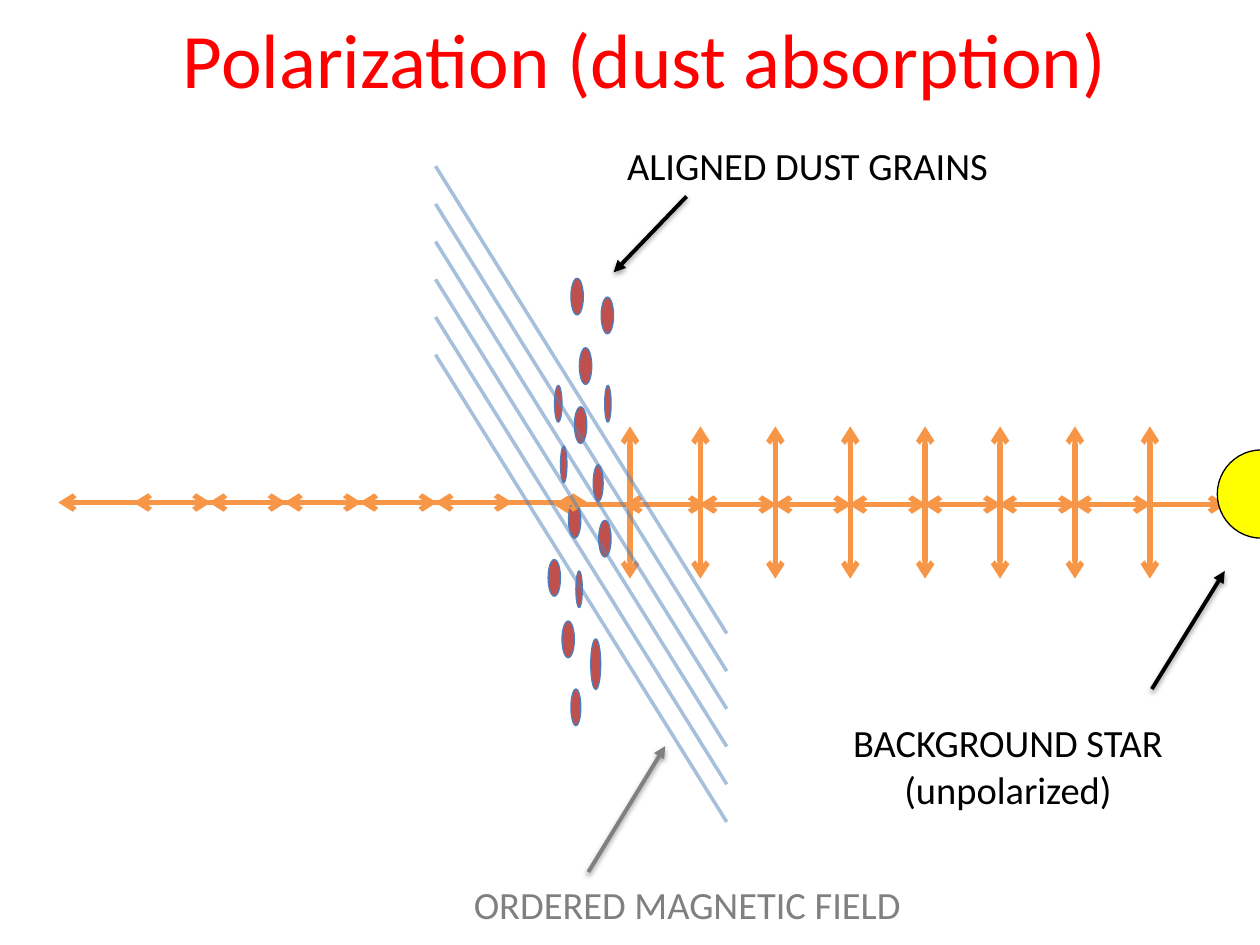
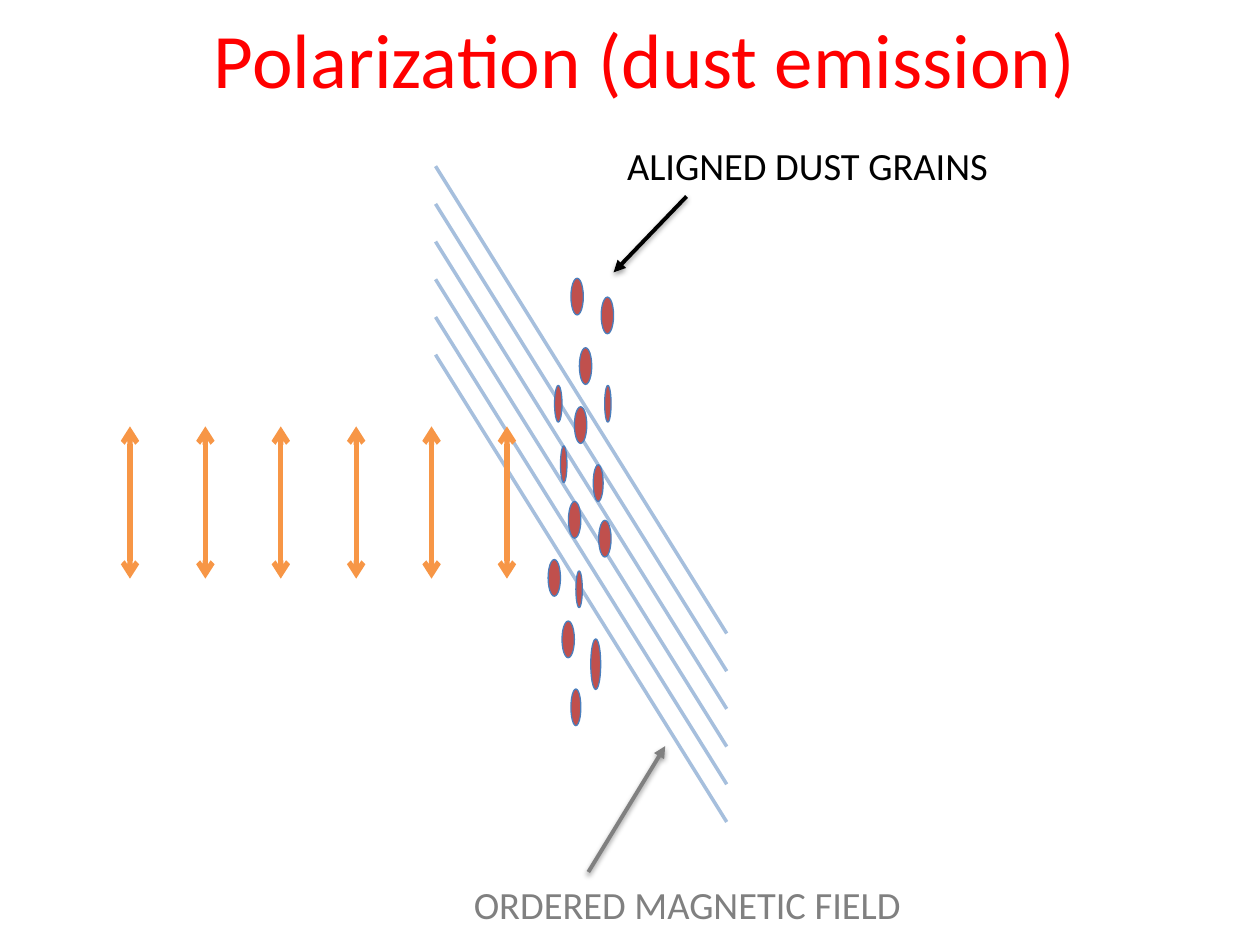
from lxml.etree import SubElement
from pptx import Presentation
from pptx.dml.color import RGBColor
from pptx.enum.shapes import MSO_CONNECTOR as Connector, MSO_SHAPE as Shape
from pptx.enum.text import MSO_ANCHOR as Anchor, MSO_AUTO_SIZE as AutoSize, PP_ALIGN as Align
from pptx.oxml.ns import qn
from pptx.util import Cm, Pt

RED = RGBColor(0xFF, 0x00, 0x00)
BLACK = RGBColor(0x00, 0x00, 0x00)
GRAY = RGBColor(0x80, 0x80, 0x80)
ORANGE = RGBColor(0xF7, 0x96, 0x46)
BLUE = RGBColor(0x4F, 0x81, 0xBD)
GRAIN_FILL = RGBColor(0xC0, 0x50, 0x4D)
GRAIN_EDGE = RGBColor(0x4B, 0x7E, 0xBC)
YELLOW = RGBColor(0xFF, 0xFF, 0x00)
FONT = "Calibri"

# All lengths below are centimetres
WAVE_LENGTH = 3.07
WAVE_STEP = 1.52
BEAM_Y = 10.13
GRAIN_HEIGHT = 0.74

# Left, top, width and, where it differs, height of each dust grain
GRAINS = [
    (11.18, 7.77, 0.15), (11.58, 8.2, 0.25), (11.96, 9.37, 0.2),
    (12.19, 7.77, 0.13), (11.3, 8.99, 0.13), (11.46, 10.11, 0.25),
    (12.07, 10.49, 0.25), (11.05, 11.28, 0.25), (11.61, 11.51, 0.13),
    (11.33, 12.52, 0.25), (11.91, 12.88, 0.2, 1.02), (11.51, 13.89, 0.2),
    (11.51, 5.61, 0.25), (12.12, 5.99, 0.25), (11.68, 7.01, 0.25),
]


def write(frame, text, *, size=22, color=BLACK, align=Align.CENTER):
    """Fill a text frame, one paragraph for each line of text."""
    for index, line in enumerate(text.split("\n")):
        para = frame.add_paragraph() if index else frame.paragraphs[0]
        para.alignment = align
        span = para.add_run()
        span.text = line
        span.font.name = FONT
        span.font.size = Pt(size)
        span.font.color.rgb = color


class Drawing:
    """The deck, its current page and the style of each element."""

    def __init__(self):
        self.deck = Presentation()
        self.deck.slide_width = Cm(25.4)
        self.deck.slide_height = Cm(19.05)
        self.page = None

    def new_page(self, title):
        self.page = self.deck.slides.add_slide(self.deck.slide_layouts[5])
        box = self.page.shapes.title
        box.left, box.top, box.width, box.height = map(Cm, (1.57, -0.43, 22.86, 3.18))
        box.text_frame.vertical_anchor = Anchor.MIDDLE
        write(box.text_frame, title, size=44, color=RED)

    def label(self, left, top, width, height, text, color=BLACK):
        box = self.page.shapes.add_textbox(*map(Cm, (left, top, width, height)))
        box.text_frame.word_wrap = True
        box.text_frame.auto_size = AutoSize.SHAPE_TO_FIT_TEXT
        write(box.text_frame, text, color=color)

    def ellipse(self, left, top, width, height, fill, edge):
        oval = self.page.shapes.add_shape(Shape.OVAL, *map(Cm, (left, top, width, height)))
        oval.shadow.inherit = False
        oval.fill.solid()
        oval.fill.fore_color.rgb = fill
        oval.line.color.rgb = edge
        oval.line.width = Pt(0.75)

    def line(self, start, end, color, weight, *, head=None, tail=None, opacity=None, shadow=False):
        line = self.page.shapes.add_connector(Connector.STRAIGHT, *map(Cm, (*start, *end)))
        line.line.color.rgb = color
        line.line.width = Pt(weight)
        properties = line._element.spPr
        outline = properties.find(qn("a:ln"))
        if opacity:
            paint = outline.find(".//" + qn("a:srgbClr"))
            SubElement(paint, qn("a:alpha"), val=str(opacity * 1000))
        for tag, kind in (("a:headEnd", head), ("a:tailEnd", tail)):
            if kind:
                SubElement(outline, qn(tag), type=kind)
        effects = SubElement(properties, qn("a:effectLst"))
        if shadow:
            cast = SubElement(effects, qn("a:outerShdw"), blurRad=str(Pt(3.1)),
                              dist=str(Pt(1.6)), dir="5400000", rotWithShape="0")
            paint = SubElement(cast, qn("a:srgbClr"), val=str(BLACK))
            SubElement(paint, qn("a:alpha"), val="38000")

    def pointer(self, tip, end, color=BLACK):
        self.line(tip, end, color, 2.25, head="triangle", shadow=True)

    def wave(self, x, y, upright):
        """Double arrow centred on x, y."""
        half = WAVE_LENGTH / 2
        dx, dy = (0, half) if upright else (half, 0)
        self.line((x - dx, y - dy), (x + dx, y + dy), ORANGE, 3, head="arrow", tail="arrow")

    def magnetic_field(self):
        for index in range(6):
            top = 3.35 + 0.76 * index
            self.line((8.78, top), (14.65, top + 9.42), BLUE, 2, opacity=49)

    def field_label(self):
        self.pointer((13.41, 15.04), (11.86, 17.58), GRAY)
        self.label(8.51, 17.63, 10.69, 1.19, "ORDERED MAGNETIC FIELD", GRAY)

    def dust(self):
        self.pointer((12.37, 5.49), (13.84, 3.96))
        self.label(11.43, 2.74, 9.7, 1.19, "ALIGNED DUST GRAINS")
        for left, top, width, *height in GRAINS:
            self.ellipse(left, top, width, *(height or [GRAIN_HEIGHT]), GRAIN_FILL, GRAIN_EDGE)


def absorption(drawing):
    drawing.new_page("Polarization (dust absorption)")
    # Unpolarized light between star and dust
    for x in [12.7] + [14.12 + 1.51 * index for index in range(7)]:
        drawing.wave(x, BEAM_Y, upright=True)
        drawing.wave(x, BEAM_Y + 0.04, upright=False)
    drawing.dust()
    drawing.ellipse(24.54, 9.07, 1.78, 1.78, YELLOW, BLACK)
    # Polarized light beyond the dust
    for index in reversed(range(6)):
        drawing.wave(2.71 + WAVE_STEP * index, BEAM_Y, upright=False)
    drawing.pointer((24.69, 11.51), (23.22, 13.89))
    drawing.label(15.47, 14.38, 9.7, 2.13, "BACKGROUND STAR\n(unpolarized)")
    drawing.magnetic_field()
    drawing.field_label()


def emission(drawing):
    drawing.new_page("Polarization (dust emission)")
    drawing.magnetic_field()
    drawing.dust()
    # Polarized light sent out by the dust
    for index in range(6):
        drawing.wave(2.62 + WAVE_STEP * index, BEAM_Y, upright=True)
    drawing.field_label()


def main():
    drawing = Drawing()
    absorption(drawing)
    emission(drawing)
    drawing.deck.save("out.pptx")


if __name__ == "__main__":
    main()
